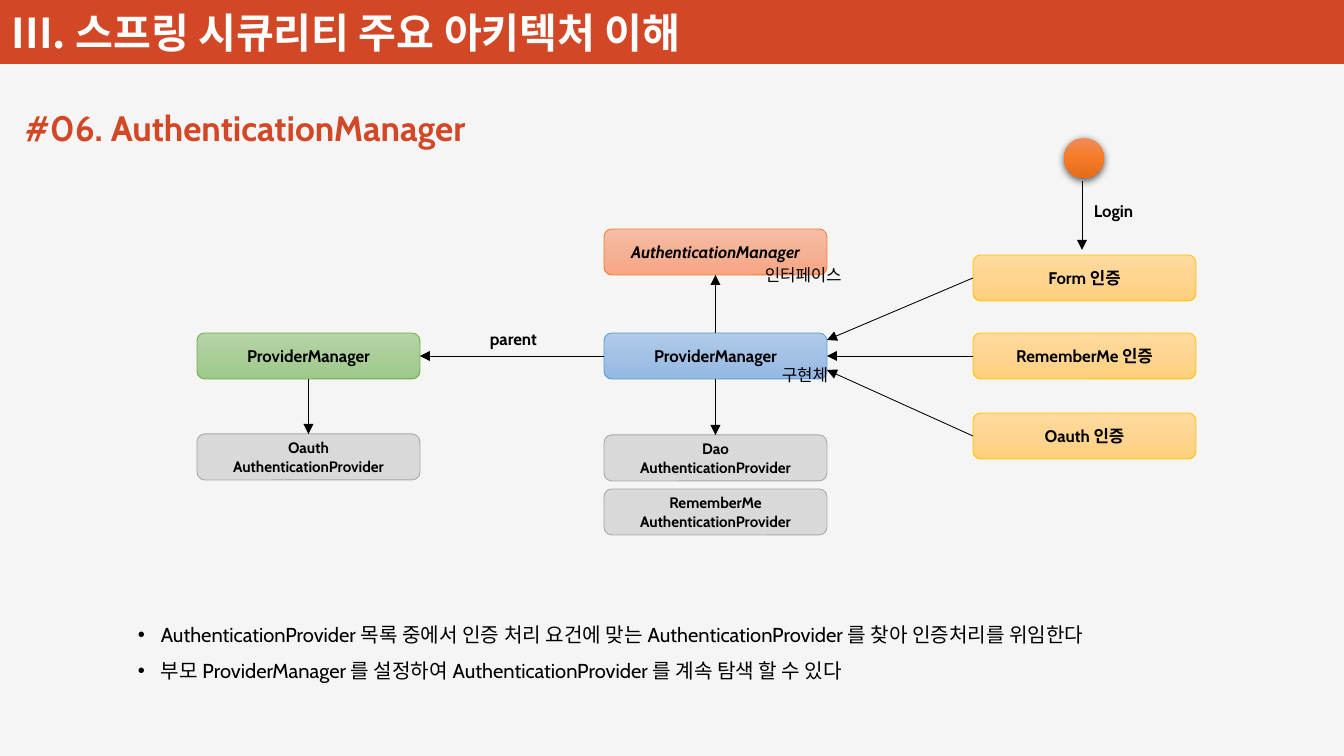
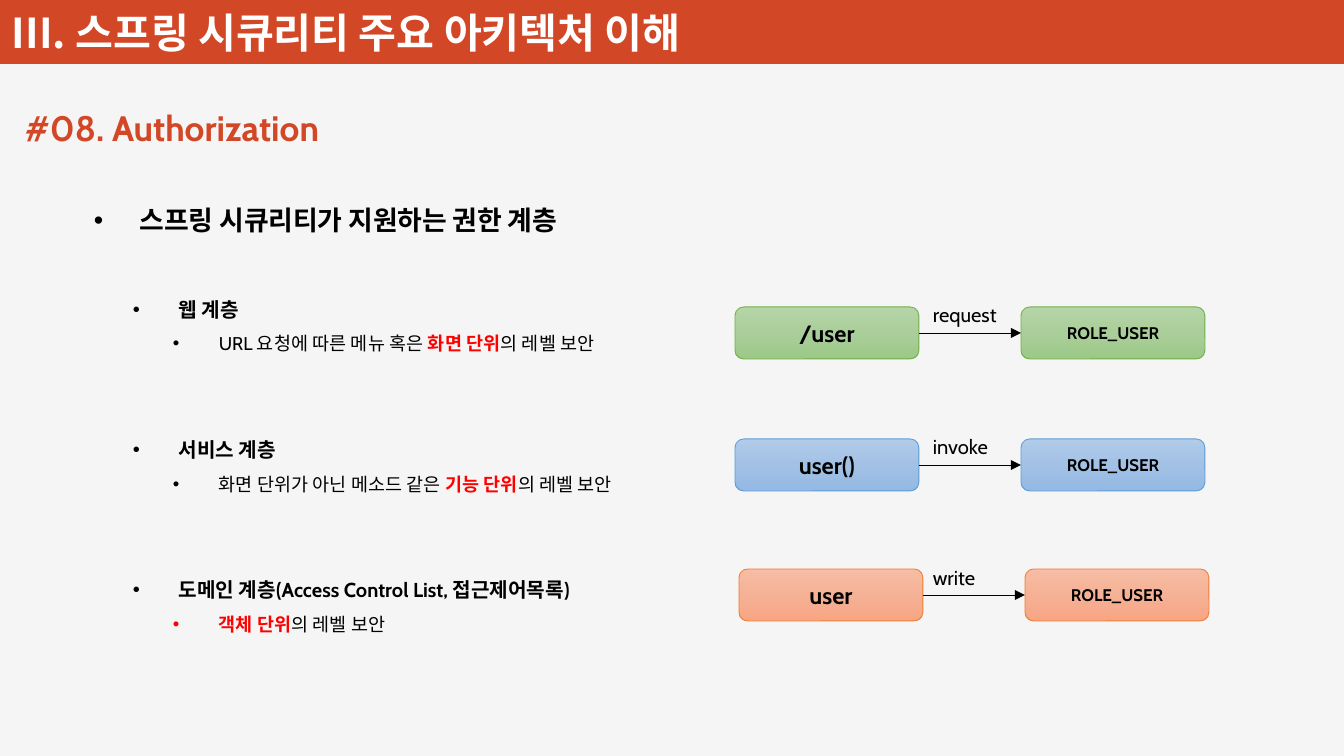
from copy import deepcopy
from dataclasses import dataclass
from typing import NamedTuple

from lxml.etree import SubElement
from pptx import Presentation
from pptx.dml.color import RGBColor
from pptx.enum.shapes import MSO_CONNECTOR, MSO_SHAPE
from pptx.enum.text import MSO_ANCHOR, PP_ALIGN
from pptx.oxml.ns import qn
from pptx.shapes.autoshape import Shape
from pptx.slide import Slide
from pptx.text.text import TextFrame, _Paragraph
from pptx.util import Emu, Pt

PX = 914400 / 121


def px(length: int) -> Emu:
    return Emu(round(length * PX))


class Palette(NamedTuple):
    stops: tuple[str, ...]
    line: str | None


@dataclass(frozen=True)
class Theme:
    font: str = "Cabin"
    title_font: str = "Noto Sans CJK KR"
    background: str = "F5F5F5"
    brand: str = "D24726"
    white: str = "FFFFFF"
    ink: str = "000000"
    accent: str = "FF0000"
    orange: Palette = Palette(("F7BDA5", "F5B196", "F8A582"), "ED7D31")
    blue: Palette = Palette(("B1CBE9", "A3C1E5", "93B9E4"), "5B9BD5")
    green: Palette = Palette(("B5D5A7", "AACE9A", "9CC987"), "70AD47")
    yellow: Palette = Palette(("FFDB9E", "FFD590", "FFD07C"), "FFC000")
    gray: Palette = Palette(("D9D9D9",), "A6A6A6")
    user: Palette = Palette(("F18C57", "F67B28", "E56C19"), None)
    title: float = 24.5
    subtitle: int = 21
    heading: int = 16
    call: int = 14
    body: int = 12
    detail: int = 11
    label: int = 10
    small: int = 9
    line_width: float = 0.5


THEME = Theme()


class Area(NamedTuple):
    left: int
    top: int
    width: int
    height: int


class Point(NamedTuple):
    x: int
    y: int


class Port(NamedTuple):
    shape: Shape
    site: int


TOP, LEFT, BOTTOM, RIGHT = range(4)


class Run(NamedTuple):
    text: str
    accent: bool = False


@dataclass(frozen=True)
class Bullet:
    runs: tuple[Run, ...]
    level: int
    indent: int
    hanging: int
    size: int
    bold: bool = False
    space_before: int = 0


class Layer(NamedTuple):
    name: str
    details: tuple[Run, ...]
    call: str
    action: str
    palette: Palette
    area: Area
    label_top: int


def style(paragraph: _Paragraph, size: float, bold: bool = False, italic: bool = False,
          color: str = THEME.ink, name: str = THEME.font) -> None:
    """Set the paragraph's font for Latin and Korean text alike."""
    font = paragraph.font
    font.size, font.bold, font.italic = Pt(size), bold, italic
    font.color.rgb = RGBColor.from_string(color)
    font.name = name
    defaults = paragraph._p.get_or_add_pPr().get_or_add_defRPr()
    SubElement(defaults, qn("a:ea")).set("typeface", name)


def paint(shape: Shape, palette: Palette) -> None:
    """Fill with one colour or an evenly spaced downward gradient, and outline."""
    shape.shadow.inherit = False
    if len(palette.stops) == 1:
        shape.fill.solid()
        shape.fill.fore_color.rgb = RGBColor.from_string(palette.stops[0])
    else:
        shape.fill.gradient()
        shape.fill.gradient_angle = 270
        stop_list = shape._element.spPr.find(".//" + qn("a:gsLst"))
        while len(stop_list) < len(palette.stops):
            stop_list.append(deepcopy(stop_list[0]))
        for index, (stop, color) in enumerate(zip(shape.fill.gradient_stops, palette.stops)):
            stop.color.rgb = RGBColor.from_string(color)
            stop.position = index / (len(palette.stops) - 1)
    if palette.line is None:
        shape.line.fill.background()
    else:
        shape.line.color.rgb = RGBColor.from_string(palette.line)
        shape.line.width = Pt(THEME.line_width)


def add_shape(slide: Slide, kind: MSO_SHAPE, area: Area, palette: Palette) -> Shape:
    shape = slide.shapes.add_shape(kind, *map(px, area))
    paint(shape, palette)
    return shape


def add_box(slide: Slide, area: Area, palette: Palette, *lines: str,
            size: int = THEME.label, italic: bool = False) -> Shape:
    box = add_shape(slide, MSO_SHAPE.ROUNDED_RECTANGLE, area, palette)
    frame = box.text_frame
    frame.vertical_anchor = MSO_ANCHOR.MIDDLE
    frame.text = "\n".join(lines)
    for paragraph in frame.paragraphs:
        paragraph.alignment = PP_ALIGN.CENTER
        style(paragraph, size, bold=True, italic=italic)
    return box


def add_text(slide: Slide, area: Area, text: str, size: float, bold: bool = False,
             color: str = THEME.ink, name: str = THEME.font) -> TextFrame:
    frame = slide.shapes.add_textbox(*map(px, area)).text_frame
    frame.word_wrap = False
    frame.text = text
    style(frame.paragraphs[0], size, bold, color=color, name=name)
    return frame


def add_arrow(slide: Slide, start: Point | Port, end: Point | Port) -> None:
    """Draw an arrow whose ends are glued to ports or rest on points."""
    connector = slide.shapes.add_connector(MSO_CONNECTOR.STRAIGHT, 0, 0, 0, 0)
    if isinstance(start, Port):
        connector.begin_connect(start.shape, start.site)
    else:
        connector.begin_x, connector.begin_y = map(px, start)
    if isinstance(end, Port):
        connector.end_connect(end.shape, end.site)
    else:
        connector.end_x, connector.end_y = map(px, end)
    connector.line.color.rgb = RGBColor.from_string(THEME.ink)
    connector.line.width = Pt(THEME.line_width)
    SubElement(connector.line._get_or_add_ln(), qn("a:tailEnd")).set("type", "triangle")
    SubElement(connector._element.spPr, qn("a:effectLst"))


def add_bullets(slide: Slide, area: Area, bullets: list[Bullet]) -> None:
    frame = slide.shapes.add_textbox(*map(px, area)).text_frame
    frame.word_wrap = True
    for index, bullet in enumerate(bullets):
        paragraph = frame.add_paragraph() if index else frame.paragraphs[0]
        paragraph.level = bullet.level
        paragraph.line_spacing = 1.5
        paragraph.space_before = Pt(bullet.space_before)
        properties = paragraph._p.get_or_add_pPr()
        properties.set("marL", str(px(bullet.indent)))
        properties.set("indent", str(-px(bullet.hanging)))
        SubElement(properties, qn("a:buFont")).set("typeface", "Arial")
        SubElement(properties, qn("a:buChar")).set("char", "•")
        style(paragraph, bullet.size, bullet.bold)
        for part in bullet.runs:
            run = paragraph.add_run()
            run.text = part.text
            if part.accent:
                run.font.bold = True
                run.font.color.rgb = RGBColor.from_string(THEME.accent)


def add_slide(presentation: Presentation, subtitle: str, width: int) -> Slide:
    """Add a blank slide with the chapter band and its own subtitle."""
    slide = presentation.slides.add_slide(presentation.slide_layouts[6])
    add_shape(slide, MSO_SHAPE.RECTANGLE, Area(0, 0, 1344, 64), Palette((THEME.brand,), None))
    frame = add_text(slide, Area(1, -12, 813, 74), "III. 스프링 시큐리티 주요 아키텍처 이해",
                     THEME.title, True, THEME.white, THEME.title_font)
    frame.vertical_anchor = MSO_ANCHOR.BOTTOM
    frame.margin_left = frame.margin_right = px(11)
    frame.margin_top = frame.margin_bottom = px(5)
    add_text(slide, Area(13, 100, width, 54), subtitle, THEME.subtitle, True, THEME.brand)
    return slide


def add_user(slide: Slide, area: Area) -> None:
    """Draw the user as a disc with a soft shadow below it."""
    disc = add_shape(slide, MSO_SHAPE.OVAL, area, THEME.user)
    effects = disc._element.spPr.find(qn("a:effectLst"))
    shadow = SubElement(effects, qn("a:outerShdw"), blurRad=str(Pt(4.5)), dist=str(Pt(1.5)),
                        dir="5400000", algn="ctr", rotWithShape="0")
    color = SubElement(shadow, qn("a:srgbClr"), val=THEME.ink)
    SubElement(color, qn("a:alpha"), val="63000")


def build_authentication_manager(presentation: Presentation) -> None:
    slide = add_slide(presentation, "#06. AuthenticationManager", 506)
    parent_x, manager_x, filter_x, manager_y = 197, 604, 973, 333

    def node(x: int, y: int, palette: Palette, *lines: str, **options) -> Shape:
        return add_box(slide, Area(x, y, 223, 46), palette, *lines, **options)

    def provider(x: int, y: int, name: str) -> Shape:
        return node(x, y, THEME.gray, name, "AuthenticationProvider", size=THEME.small)

    interface = node(manager_x, 229, THEME.orange, "AuthenticationManager", italic=True)
    manager = node(manager_x, manager_y, THEME.blue, "ProviderManager")
    parent = node(parent_x, manager_y, THEME.green, "ProviderManager")
    dao = provider(manager_x, 435, "Dao")
    provider(manager_x, 489, "RememberMe")
    oauth = provider(parent_x, 434, "Oauth")

    add_arrow(slide, Port(manager, TOP), Port(interface, BOTTOM))
    add_arrow(slide, Port(manager, BOTTOM), Port(dao, TOP))
    add_arrow(slide, Port(manager, LEFT), Port(parent, RIGHT))
    add_arrow(slide, Port(parent, BOTTOM), Port(oauth, TOP))
    for name, y, target in (
        ("Form 인증", 255, Point(827, 340)),
        ("RememberMe 인증", manager_y, Port(manager, RIGHT)),
        ("Oauth 인증", 413, Point(827, 370)),
    ):
        add_arrow(slide, Port(node(filter_x, y, THEME.yellow, name), LEFT), target)
    add_user(slide, Area(1064, 138, 40, 40))
    add_arrow(slide, Point(1082, 181), Point(1082, 250))

    for text, x, y, width, bold in (
        ("parent", 478, 323, 76, True),
        ("Login", 1082, 195, 69, True),
        ("인터페이스", 753, 259, 109, False),
        ("구현체", 770, 359, 75, False),
    ):
        add_text(slide, Area(x, y, width, 33), text, THEME.label, bold)

    notes = (
        "AuthenticationProvider 목록 중에서 인증 처리 요건에 맞는 AuthenticationProvider 를 찾아 인증처리를 위임한다",
        "부모 ProviderManager 를 설정하여 AuthenticationProvider 를 계속 탐색 할 수 있다",
    )
    add_bullets(slide, Area(86, 604, 1172, 81),
                [Bullet((Run(note),), 1, 63, 23, THEME.body) for note in notes])


def build_authorization(presentation: Presentation) -> None:
    slide = add_slide(presentation, "#08. Authorization", 339)
    ending = Run("의 레벨 보안")
    layers = (
        Layer("웹 계층", (Run("URL 요청에 따른 메뉴 혹은 "), Run("화면 단위", True), ending),
              "/user", "request", THEME.green, Area(735, 307, 184, 52), 296),
        Layer("서비스 계층", (Run("화면 단위가 아닌 메소드 같은 "), Run("기능 단위", True), ending),
              "user()", "invoke", THEME.blue, Area(735, 439, 184, 52), 428),
        Layer("도메인 계층(Access Control List, 접근제어목록)", (Run("객체 단위", True), ending),
              "user", "write", THEME.orange, Area(739, 569, 184, 52), 559),
    )
    bullets = [Bullet((Run("스프링 시큐리티가 지원하는 권한 계층"),), 0, 46, 46, THEME.heading, True)]
    for index, layer in enumerate(layers):
        bullets.append(Bullet((Run(layer.name),), 1, 85, 46, THEME.body, True,
                              space_before=42 if index else 29))
        bullets.append(Bullet(layer.details, 2, 125, 46, THEME.detail))
        call = add_box(slide, layer.area, layer.palette, layer.call, size=THEME.call)
        role_area = layer.area._replace(left=layer.area.left + 286)
        role = add_box(slide, role_area, layer.palette, "ROLE_USER")
        add_arrow(slide, Port(call, RIGHT), Port(role, LEFT))
        add_text(slide, Area(921, layer.label_top, 92, 36), layer.action, THEME.body)
    add_bullets(slide, Area(82, 182, 583, 457), bullets)


def main() -> None:
    presentation = Presentation()
    presentation.slide_width, presentation.slide_height = px(1344), px(756)
    background = presentation.slide_master.background.fill
    background.solid()
    background.fore_color.rgb = RGBColor.from_string(THEME.background)
    build_authentication_manager(presentation)
    build_authorization(presentation)
    presentation.save("out.pptx")


if __name__ == "__main__":
    main()
